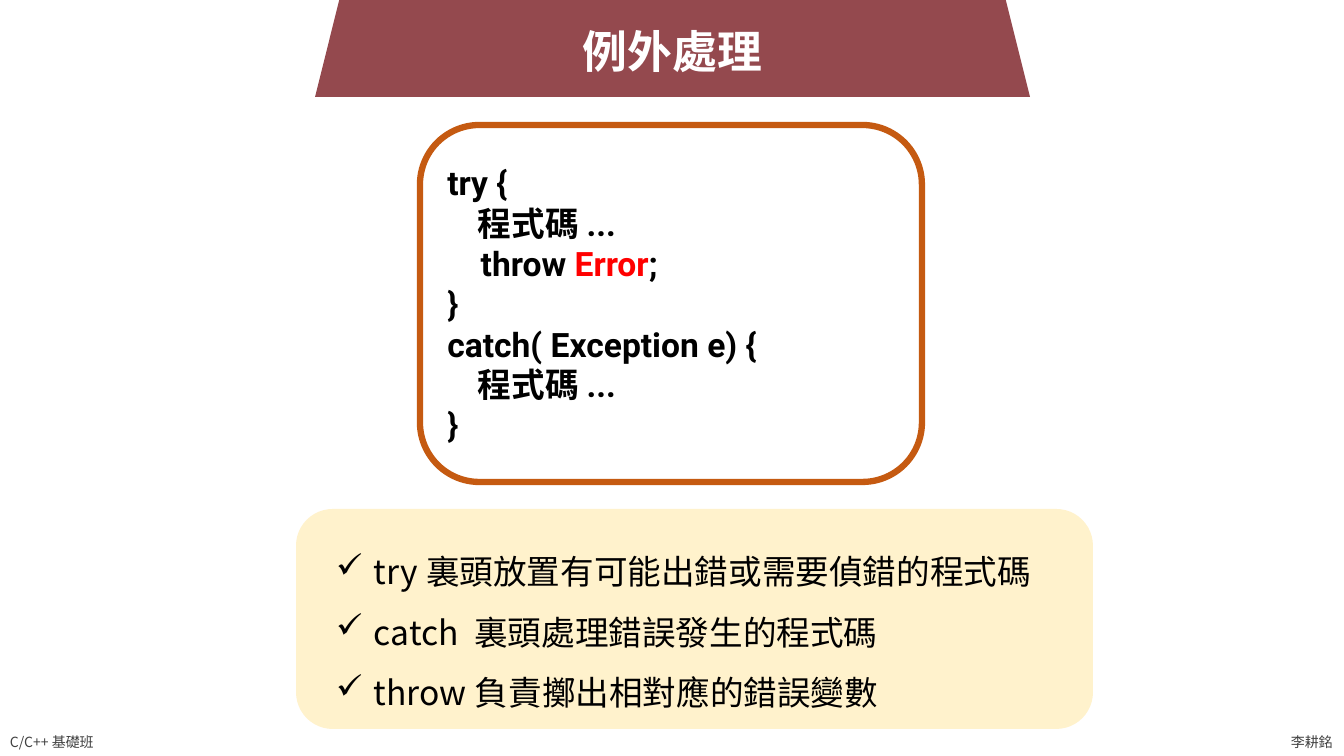
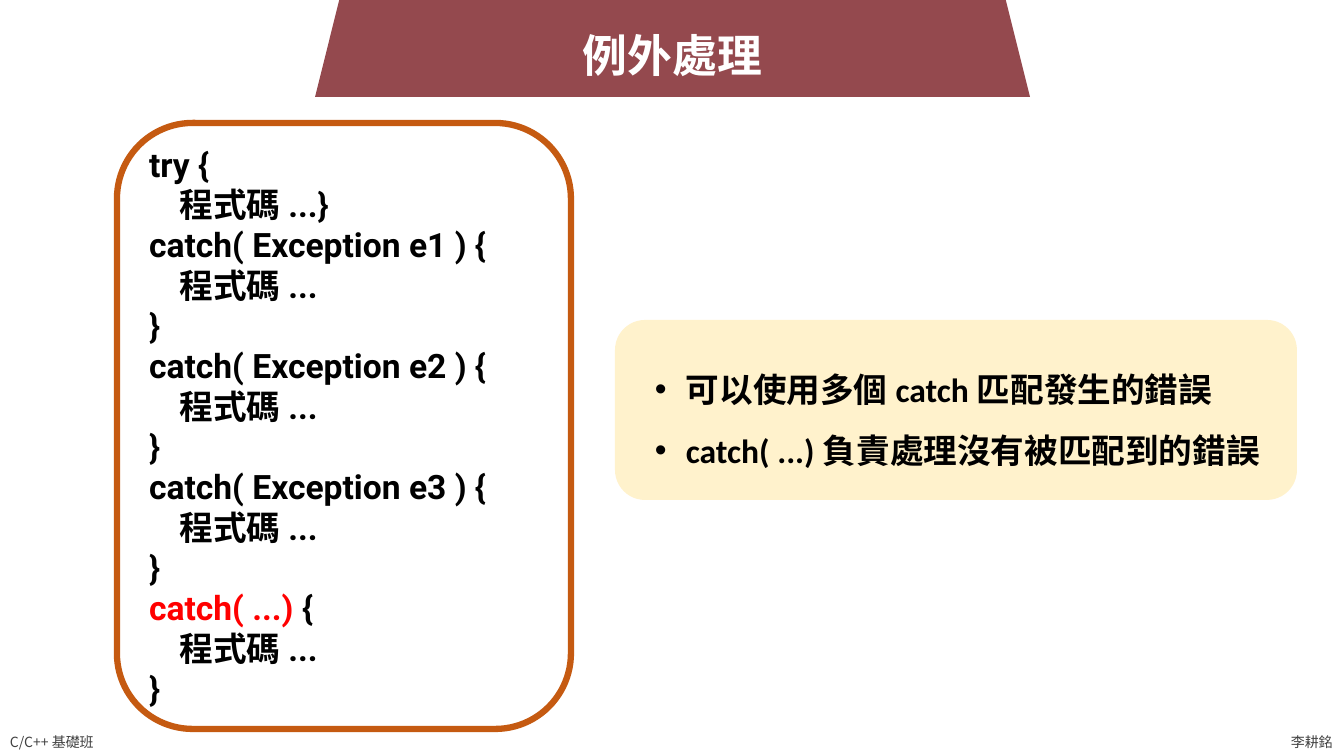
import pptx
import pptx.dml.color
import pptx.enum.shapes
import pptx.enum.text
import pptx.oxml.ns
import pptx.util
from lxml import etree

RGBColor = pptx.dml.color.RGBColor
SHAPE = pptx.enum.shapes.MSO_SHAPE
ALIGN = pptx.enum.text.PP_ALIGN
ANCHOR = pptx.enum.text.MSO_ANCHOR
qn = pptx.oxml.ns.qn

WINE = RGBColor(0x94, 0x49, 0x4E)
CREAM = RGBColor(0xFF, 0xF2, 0xCC)
ORANGE = RGBColor(0xC5, 0x5A, 0x11)
RED = RGBColor(0xFF, 0x00, 0x00)
GRAY = RGBColor(0x40, 0x40, 0x40)
BLACK = RGBColor(0x00, 0x00, 0x00)
WHITE = RGBColor(0xFF, 0xFF, 0xFF)

CJK_FONT = "Noto Sans CJK TC"
CODE_FONT = "Roboto"
EMU_PER_PX = 914400 / 100.8
SLIDE_SIZE = (1344, 756)

TITLE = "例外處理"
TITLE_BAND = (315, -26, 715, 123)
FOOTERS = [("C/C++基礎班", (0, 729, 108, 27)), ("李耕銘", (1281, 729, 63, 27))]

BODY = "    程式碼..."


def catch_block(argument):
    return [f"catch( {argument} ) {{", BODY, "}"]


# A line is either a string or a list of (text, colour) runs.
SLIDES = [
    {
        "title_top": 19,
        "code_box": (420, 125, 502, 357),
        "code": ["try {", BODY,
                 [("    throw ", BLACK), ("Error", RED), (";", BLACK)],
                 "}", "catch( Exception e) {", BODY, "}"],
        "note_panel": (296, 509, 797, 220),
        "note_box": (326, 526, 738, 185),
        "notes": ["try裏頭放置有可能出錯或需要偵錯的程式碼",
                  "catch 裏頭處理錯誤發生的程式碼",
                  "throw負責擲出相對應的錯誤變數"],
        "note_format": {"bullet": "✓", "bullet_font": "Wingdings", "indent": 38},
    },
    {
        "title_top": 23,
        "code_box": (117, 123, 454, 606),
        "code": ["try {", BODY + "}",
                 *catch_block("Exception e1"),
                 *catch_block("Exception e2"),
                 *catch_block("Exception e3"),
                 [("catch( ...) ", RED), ("{", BLACK)], BODY, "}"],
        "note_panel": (615, 320, 682, 180),
        "note_box": (645, 344, 639, 126),
        "notes": ["可以使用多個catch匹配發生的錯誤",
                  "catch( ...)負責處理沒有被匹配到的錯誤"],
        "note_format": {"bullet": "•", "indent": 31, "font": "Calibri", "bold": True},
    },
]


def px(length):
    return pptx.util.Emu(round(length * EMU_PER_PX))


def add_bullet(paragraph, bullet, bullet_font, indent):
    properties = paragraph._p.get_or_add_pPr()
    properties.set("marL", str(px(indent)))
    properties.set("indent", str(-px(indent)))
    etree.SubElement(properties, qn("a:buFont")).set("typeface", bullet_font)
    character = "ü" if bullet_font == "Wingdings" else bullet
    etree.SubElement(properties, qn("a:buChar")).set("char", character)


def write_text(shape, lines, size=24, font=CJK_FONT, color=BLACK, bold=False,
               align=ALIGN.LEFT, anchor=ANCHOR.TOP, wrap=True, spacing=None,
               bullet=None, bullet_font="Arial", indent=0):
    frame = shape.text_frame
    frame.word_wrap = wrap
    frame.vertical_anchor = anchor
    for index, line in enumerate(lines):
        paragraph = frame.add_paragraph() if index else frame.paragraphs[0]
        paragraph.alignment = align
        if spacing:
            paragraph.line_spacing = spacing
        if bullet:
            add_bullet(paragraph, bullet, bullet_font, indent)
        runs = [(line, color)] if isinstance(line, str) else line
        for text, run_color in runs:
            run = paragraph.add_run()
            run.text = text
            run.font.size = pptx.util.Pt(size)
            run.font.bold = bold
            run.font.color.rgb = run_color
            run.font.name = font
            east_asian = etree.SubElement(run.font._element, qn("a:ea"))
            east_asian.set("typeface", CJK_FONT)


def add_panel(slide, kind, box, fill, line=None):
    shape = slide.shapes.add_shape(kind, *map(px, box))
    shape.shadow.inherit = False
    shape.fill.solid()
    shape.fill.fore_color.rgb = fill
    if line:
        shape.line.color.rgb = line
        shape.line.width = pptx.util.Pt(4.5)
    else:
        shape.line.fill.background()
    return shape


def add_text(slide, box, lines, **text_format):
    write_text(slide.shapes.add_textbox(*map(px, box)), lines, **text_format)


def add_frame(slide, title_top):
    """Draw the footers, title band and title that every slide carries."""
    for text, box in FOOTERS:
        add_text(slide, box, [text], size=10, color=GRAY, wrap=False)
    add_panel(slide, SHAPE.TRAPEZOID, TITLE_BAND, WINE)
    left, _, width, _ = TITLE_BAND
    add_text(slide, (left, title_top, width, 64), [TITLE], size=32,
             color=WHITE, bold=True, align=ALIGN.CENTER)


def build_slide(presentation, content):
    slide = presentation.slides.add_slide(presentation.slide_layouts[6])
    add_panel(slide, SHAPE.ROUNDED_RECTANGLE, content["note_panel"], CREAM)
    add_frame(slide, content["title_top"])
    code_panel = add_panel(slide, SHAPE.ROUNDED_RECTANGLE, content["code_box"],
                           WHITE, line=ORANGE)
    write_text(code_panel, content["code"], font=CODE_FONT, bold=True,
               anchor=ANCHOR.MIDDLE)
    add_text(slide, content["note_box"], content["notes"], spacing=1.5,
             **content["note_format"])


def main():
    presentation = pptx.Presentation()
    presentation.slide_width, presentation.slide_height = map(px, SLIDE_SIZE)
    for content in SLIDES:
        build_slide(presentation, content)
    presentation.save("out.pptx")


if __name__ == "__main__":
    main()
